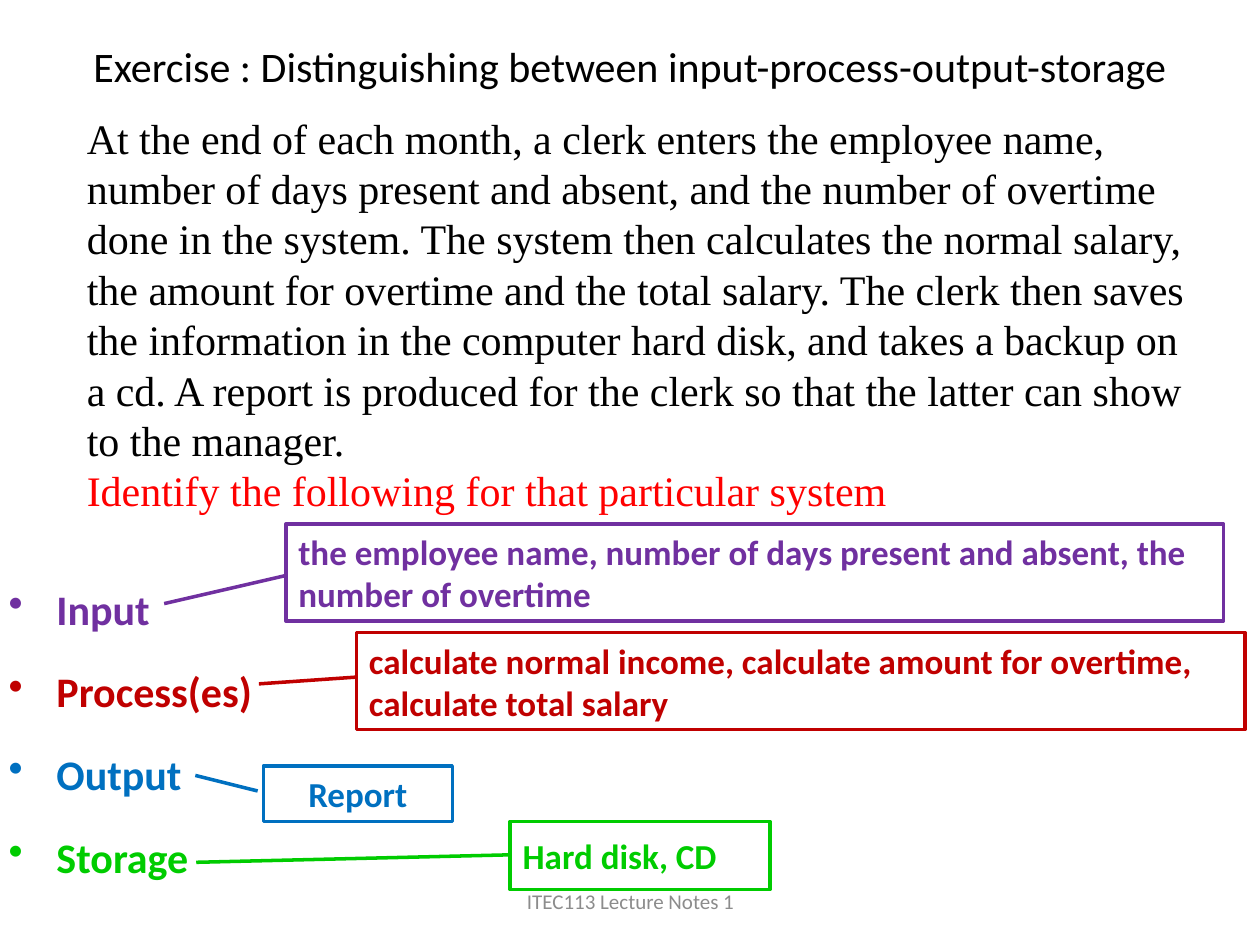
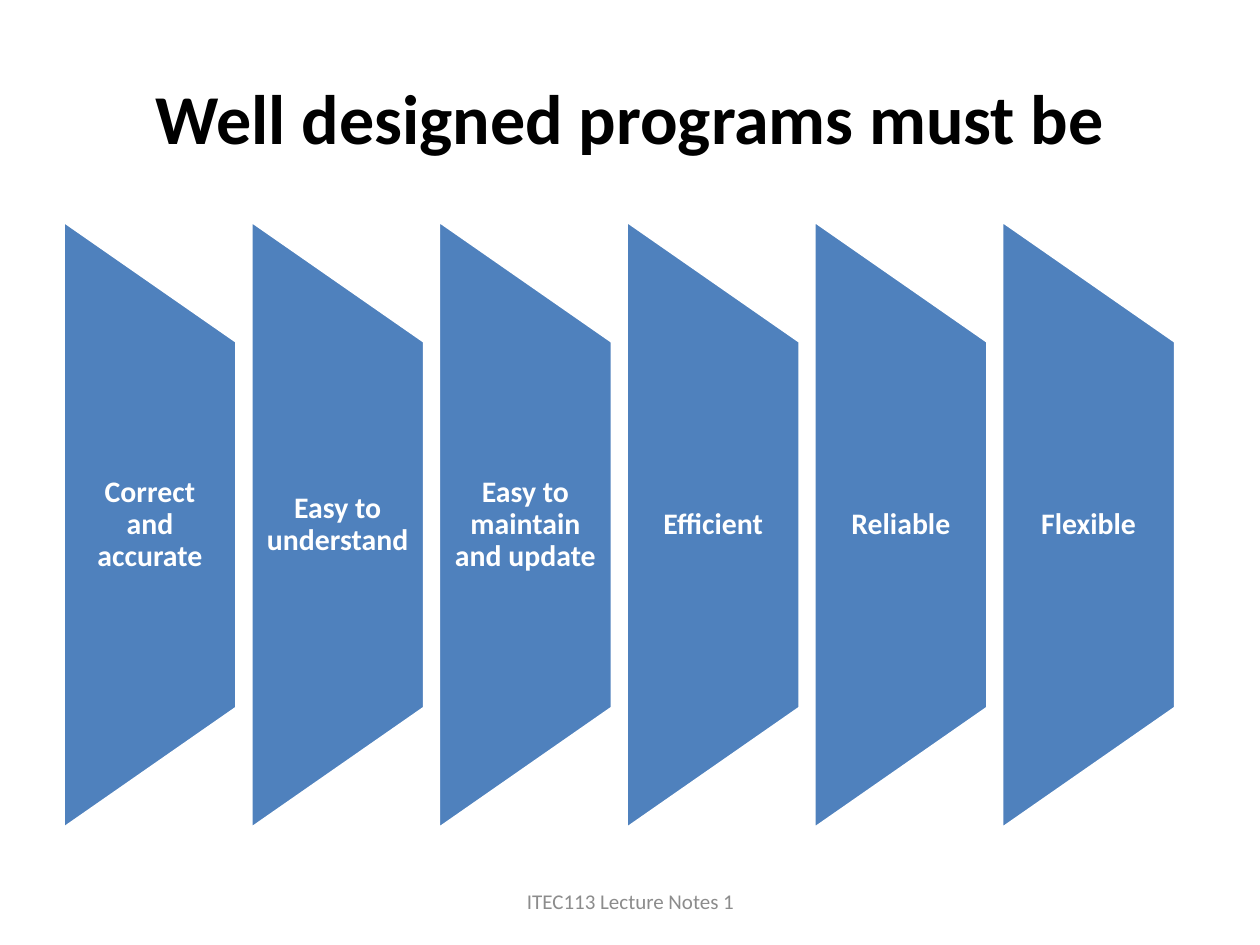
from pptx import Presentation
from pptx.dml.color import RGBColor
from pptx.enum.shapes import MSO_SHAPE
from pptx.enum.text import MSO_ANCHOR, PP_ALIGN
from pptx.oxml.ns import qn
from pptx.util import Pt
from lxml import etree

EMU_PER_PX = 9144  # 100 px to the inch

BLACK = RGBColor(0x00, 0x00, 0x00)
WHITE = RGBColor(0xFF, 0xFF, 0xFF)
GRAY = RGBColor(0x8C, 0x8C, 0x8C)
RED = RGBColor(0xFF, 0x00, 0x00)
PURPLE = RGBColor(0x70, 0x30, 0xA0)
DARK_RED = RGBColor(0xC0, 0x00, 0x00)
BLUE = RGBColor(0x00, 0x70, 0xC0)
GREEN = RGBColor(0x00, 0xCC, 0x00)
PANEL_BLUE = RGBColor(0x4F, 0x81, 0xBD)

LEFT, CENTER = PP_ALIGN.LEFT, PP_ALIGN.CENTER
TOP, MIDDLE = MSO_ANCHOR.TOP, MSO_ANCHOR.MIDDLE
FOOTER = "ITEC113 Lecture Notes 1"


def fill_text(shape, lines, size, bold=False, align=LEFT, anchor=MIDDLE, font="Calibri"):
    """Write one paragraph for each (text, color) pair."""
    frame = shape.text_frame
    frame.word_wrap = True
    frame.vertical_anchor = anchor
    for index, (text, color) in enumerate(lines):
        paragraph = frame.add_paragraph() if index else frame.paragraphs[0]
        paragraph.text = text
        paragraph.alignment = align
        paragraph.font.name = font
        paragraph.font.size = Pt(size)
        paragraph.font.bold = bold
        paragraph.font.color.rgb = color
    return frame


def add_text(slide, box, lines, size, **style):
    shape = slide.shapes.add_textbox(*[value * EMU_PER_PX for value in box])
    return fill_text(shape, lines, size, **style)


presentation = Presentation()
presentation.slide_width = 1000 * EMU_PER_PX
presentation.slide_height = 750 * EMU_PER_PX
blank_layout = presentation.slide_layouts[6]
exercise_slide = presentation.slides.add_slide(blank_layout)
qualities_slide = presentation.slides.add_slide(blank_layout)

# Shared footer
for slide in presentation.slides:
    add_text(slide, (342, 695, 317, 40), [(FOOTER, GRAY)], 12, align=CENTER)

# Exercise: title and case description
title = add_text(
    exercise_slide, (50, 30, 900, 85),
    [("Exercise : Distinguishing between input-process-output-storage", BLACK)],
    24, align=CENTER, anchor=TOP)
title.margin_top = 2 * EMU_PER_PX

description = (
    "At the end of each month, a clerk enters the employee name, number of days "
    "present and absent, and the number of overtime done in the system. The system "
    "then calculates the normal salary, the amount for overtime and the total salary. "
    "The clerk then saves the information in the computer hard disk, and takes a "
    "backup on a cd. A report is produced for the clerk so that the latter can show "
    "to the manager.")
add_text(
    exercise_slide, (59, 84, 898, 374),
    [(description, BLACK), ("Identify the following for that particular system", RED)],
    24, anchor=TOP, font="Times New Roman")

# Exercise: bulleted system parts
system_parts = [("Input", PURPLE), ("Process(es)", DARK_RED),
                ("Output", BLUE), ("Storage", GREEN)]
parts_frame = add_text(exercise_slide, (-3, 438, 277, 299), system_parts, 24,
                       bold=True, anchor=TOP)
for paragraph in parts_frame.paragraphs:
    paragraph.line_spacing = 1.5
    paragraph.space_before = Pt(4)
    properties = paragraph._p.get_or_add_pPr()
    properties.set("marL", str(38 * EMU_PER_PX))
    properties.set("indent", str(-38 * EMU_PER_PX))
    bullet = etree.Element(qn("a:buChar"), char="•")
    properties.insert_element_before(bullet, "a:tabLst", "a:defRPr", "a:extLst")

# Exercise: answer callouts; pointer is start y, start x, end y, end x
answers = [
    ("calculate normal income, calculate amount for overtime, calculate total salary",
     DARK_RED, (283, 502, 705, 77), (0.46, 0, 0.53, -0.11), LEFT),
    ("the employee name, number of days present and absent, the number of overtime",
     PURPLE, (227, 416, 744, 77), (0.53, 0, 0.82, -0.13), LEFT),
    ("Report", BLUE, (209, 608, 150, 44), (0.45, -0.03, 0.17, -0.36), CENTER),
    ("Hard disk, CD", GREEN, (405, 652, 206, 54), (0.49, 0, 0.6, -1.21), LEFT),
]
for text, color, box, pointer, align in answers:
    callout = exercise_slide.shapes.add_shape(
        MSO_SHAPE.LINE_CALLOUT_1, *[value * EMU_PER_PX for value in box])
    for index, value in enumerate(pointer):
        callout.adjustments[index] = value
    callout.shadow.inherit = False
    callout.fill.background()
    callout.line.color.rgb = color
    callout.line.width = Pt(2)
    fill_text(callout, [(text, color)], 20, bold=True, align=align)

# Qualities: title
add_text(qualities_slide, (50, 30, 900, 125),
         [("Well designed programs must be", BLACK)], 40, bold=True, align=CENTER)

# Qualities: row of tapered panels
PANEL_LEFT, PANEL_TOP, PANEL_PITCH = 50, 175, 149
PANEL_WIDTH, PANEL_HEIGHT, PANEL_TAPER = 138, 483, 96
qualities = ["Correct and accurate", "Easy to understand", "Easy to maintain and update",
             "Efficient", "Reliable", "Flexible"]
for index, quality in enumerate(qualities):
    left = PANEL_LEFT + index * PANEL_PITCH
    right = left + PANEL_WIDTH
    bottom = PANEL_TOP + PANEL_HEIGHT
    outline = qualities_slide.shapes.build_freeform(left, bottom, scale=EMU_PER_PX)
    outline.add_line_segments([(left, PANEL_TOP), (right, PANEL_TOP + PANEL_TAPER),
                               (right, bottom - PANEL_TAPER)], close=True)
    panel = outline.convert_to_shape()
    panel.shadow.inherit = False
    panel.fill.solid()
    panel.fill.fore_color.rgb = PANEL_BLUE
    panel.line.color.rgb = WHITE
    panel.line.width = Pt(2)
    frame = fill_text(panel, [(quality, WHITE)], 17, bold=True, align=CENTER)
    frame.margin_left = frame.margin_right = 12 * EMU_PER_PX
    frame.margin_top = frame.margin_bottom = PANEL_TAPER * EMU_PER_PX
    frame.paragraphs[0].line_spacing = 0.9

presentation.save("out.pptx")
